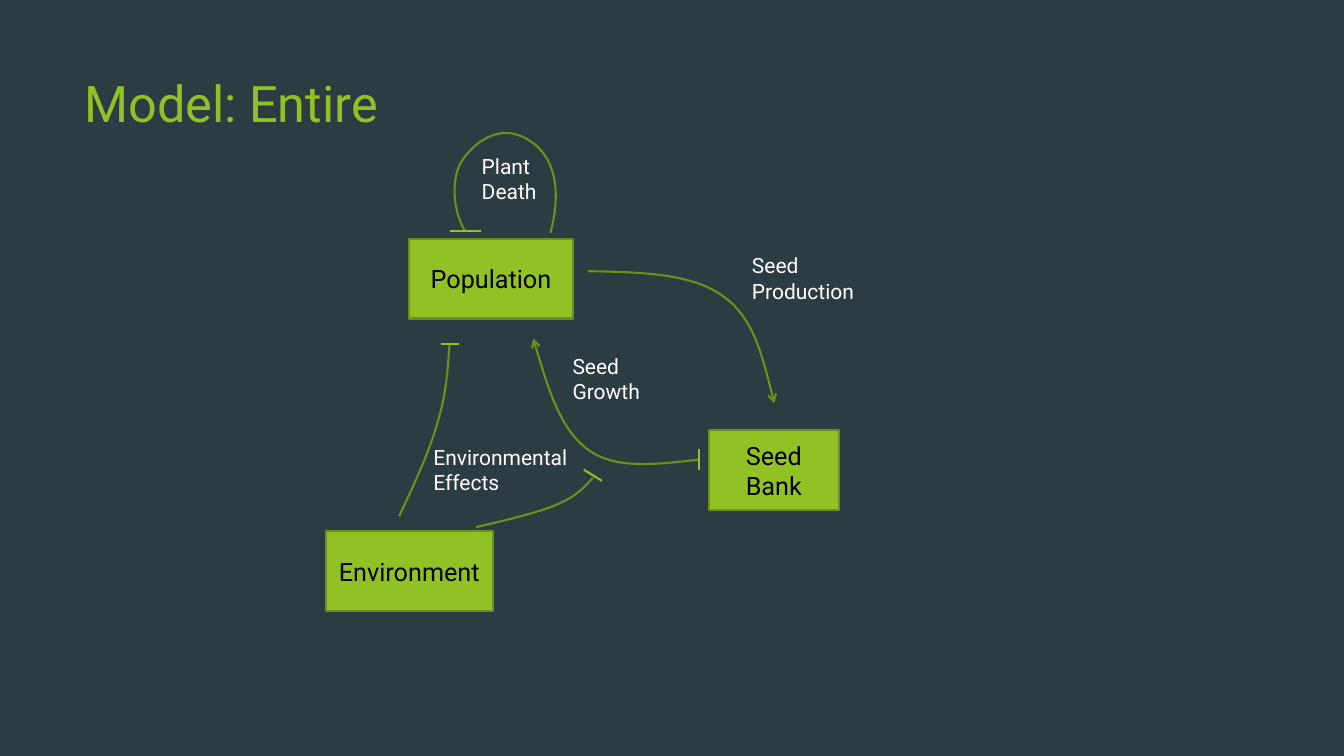
import lxml.etree
import pptx
import pptx.dml.color
import pptx.enum.shapes
import pptx.enum.text
import pptx.oxml.ns
import pptx.util

Inches = pptx.util.Inches
RGBColor = pptx.dml.color.RGBColor
qn = pptx.oxml.ns.qn
ANCHOR = pptx.enum.text.MSO_ANCHOR
ALIGN = pptx.enum.text.PP_ALIGN

SLATE = RGBColor(0x2C, 0x3C, 0x43)
GREEN = RGBColor(0x90, 0xC2, 0x26)
OLIVE = RGBColor(0x6B, 0x90, 0x1C)
BLACK = RGBColor(0, 0, 0)
WHITE = RGBColor(255, 255, 255)

BOXES = [
    ("Population", 1.06, 1.37, 1.62),
    ("Seed Bank", 4.03, 3.27, 1.29),
    ("Environment", 0.23, 4.27, 1.66),
]
LABELS = [
    ("Seed Production", 4.36, 1.46, 1.68),
    ("Seed Growth", 2.58, 2.46, 0.98),
    ("Environmental Effects", 1.2, 3.36, 1.62),
    ("Plant Death", 1.68, 0.47, 0.9),
]
SEED_PRODUCTION = [(2.83, 1.69), (3.34, 1.7), (3.85, 1.71), (4.16, 1.93),
                   (4.47, 2.14), (4.57, 2.57), (4.68, 3)]
SEED_GROWTH = [(3.93, 3.56), (3.51, 3.61), (3.1, 3.66), (2.83, 3.46),
               (2.56, 3.26), (2.42, 2.81), (2.29, 2.36)]
PLANT_DEATH = [(2.46, 1.31), (2.59, 0.82), (2.47, 0.49), (2.19, 0.36),
               (1.92, 0.23), (1.68, 0.44), (1.58, 0.6),
               (1.48, 0.75), (1.48, 1.07), (1.61, 1.29)]
EFFECT_ON_GROWTH = [(1.72, 4.23), (2.02, 4.16), (2.32, 4.09), (2.51, 4.01),
                    (2.71, 3.93), (2.79, 3.84), (2.88, 3.74)]
EFFECT_ON_POPULATION = [(0.96, 4.12), (1.11, 3.8), (1.26, 3.48), (1.34, 3.19),
                        (1.43, 2.9), (1.44, 2.66), (1.46, 2.41)]
CURVES = [
    (SEED_PRODUCTION, True),
    (SEED_GROWTH, True),
    (PLANT_DEATH, False),
    (EFFECT_ON_GROWTH, False),
    (EFFECT_ON_POPULATION, False),
]
STOP_BARS = [
    (3.93, 3.45, 3.93, 3.66),
    (1.46, 1.29, 1.77, 1.29),
    (2.79, 3.66, 2.97, 3.77),
    (1.37, 2.41, 1.55, 2.41),
]


def write_text(sp, text, size=15, color=WHITE, align=ALIGN.LEFT, anchor=ANCHOR.TOP):
    """Put one formatted, wrapping paragraph into a shape."""
    tf = sp.text_frame
    tf.word_wrap = True
    tf.vertical_anchor = anchor
    p = tf.paragraphs[0]
    p.alignment = align
    r = p.add_run()
    r.text = text
    r.font.name = "Roboto"
    r.font.size = pptx.util.Pt(size)
    r.font.color.rgb = color


def set_line(sp, color):
    """Give a shape or connector its outline."""
    sp.line.color.rgb = color
    sp.line.width = pptx.util.Pt(1.5)


def add_title(slide, x, y, w, h):
    """Add the slide title in the given box."""
    sp = slide.shapes.add_textbox(Inches(x), Inches(y), Inches(w), Inches(h))
    write_text(sp, "Model: Entire", size=36, color=GREEN)


def add_box(slide, text, x, y, w, h=0.79):
    """Add a green model component."""
    sp = slide.shapes.add_shape(pptx.enum.shapes.MSO_SHAPE.RECTANGLE,
                                Inches(x), Inches(y), Inches(w), Inches(h))
    sp.shadow.inherit = False
    sp.fill.solid()
    sp.fill.fore_color.rgb = GREEN
    set_line(sp, OLIVE)
    write_text(sp, text, size=18, color=BLACK, align=ALIGN.CENTER, anchor=ANCHOR.MIDDLE)


def add_curve(slide, points, arrow):
    """Add an open cubic Bezier curve through its start, control and end points."""
    start, *others = [(Inches(x), Inches(y)) for x, y in points]
    builder = slide.shapes.build_freeform(*start)
    builder.add_line_segments(others, close=False)
    sp = builder.convert_to_shape()
    sp.shadow.inherit = False
    sp.fill.background()
    set_line(sp, OLIVE)
    segments = list(sp.element.iter(qn("a:lnTo")))
    for i in range(0, len(segments), 3):
        bezier = lxml.etree.SubElement(segments[i].getparent(), qn("a:cubicBezTo"))
        for segment in segments[i:i + 3]:
            bezier.append(segment[0])
            segment.getparent().remove(segment)
    if arrow:
        ln = sp.element.spPr.find(qn("a:ln"))
        lxml.etree.SubElement(ln, qn("a:tailEnd"), type="arrow")


def add_stop_bar(slide, x1, y1, x2, y2):
    """Add the bar that ends an inhibiting curve."""
    bar = slide.shapes.add_connector(pptx.enum.shapes.MSO_CONNECTOR.STRAIGHT,
                                     Inches(x1), Inches(y1), Inches(x2), Inches(y2))
    set_line(bar, GREEN)
    lxml.etree.SubElement(bar.element.spPr, qn("a:effectLst"))


def add_label(slide, text, x, y, w, h=0.61):
    """Add the white name of a process."""
    sp = slide.shapes.add_textbox(Inches(x), Inches(y), Inches(w), Inches(h))
    write_text(sp, text)
    sp.text_frame.auto_size = pptx.enum.text.MSO_AUTO_SIZE.SHAPE_TO_FIT_TEXT


def add_model(slide, x, y):
    """Add the model diagram with its top left corner at x, y."""
    for text, dx, dy, w in BOXES:
        add_box(slide, text, x + dx, y + dy, w)
    for points, arrow in CURVES:
        add_curve(slide, [(x + dx, y + dy) for dx, dy in points], arrow)
    for x1, y1, x2, y2 in STOP_BARS:
        add_stop_bar(slide, x + x1, y + y1, x + x2, y + y2)
    for text, dx, dy, w in LABELS:
        add_label(slide, text, x + dx, y + dy, w)


def main():
    """Build and save the slide."""
    prs = pptx.Presentation()
    prs.slide_width = Inches(13.33)
    prs.slide_height = Inches(7.5)
    slide = prs.slides.add_slide(prs.slide_layouts[6])
    slide.background.fill.solid()
    slide.background.fill.fore_color.rgb = SLATE
    add_title(slide, 0.74, 0.67, 9.4, 0.88)
    add_model(slide, 3, 1)
    prs.save("out.pptx")


if __name__ == "__main__":
    main()
